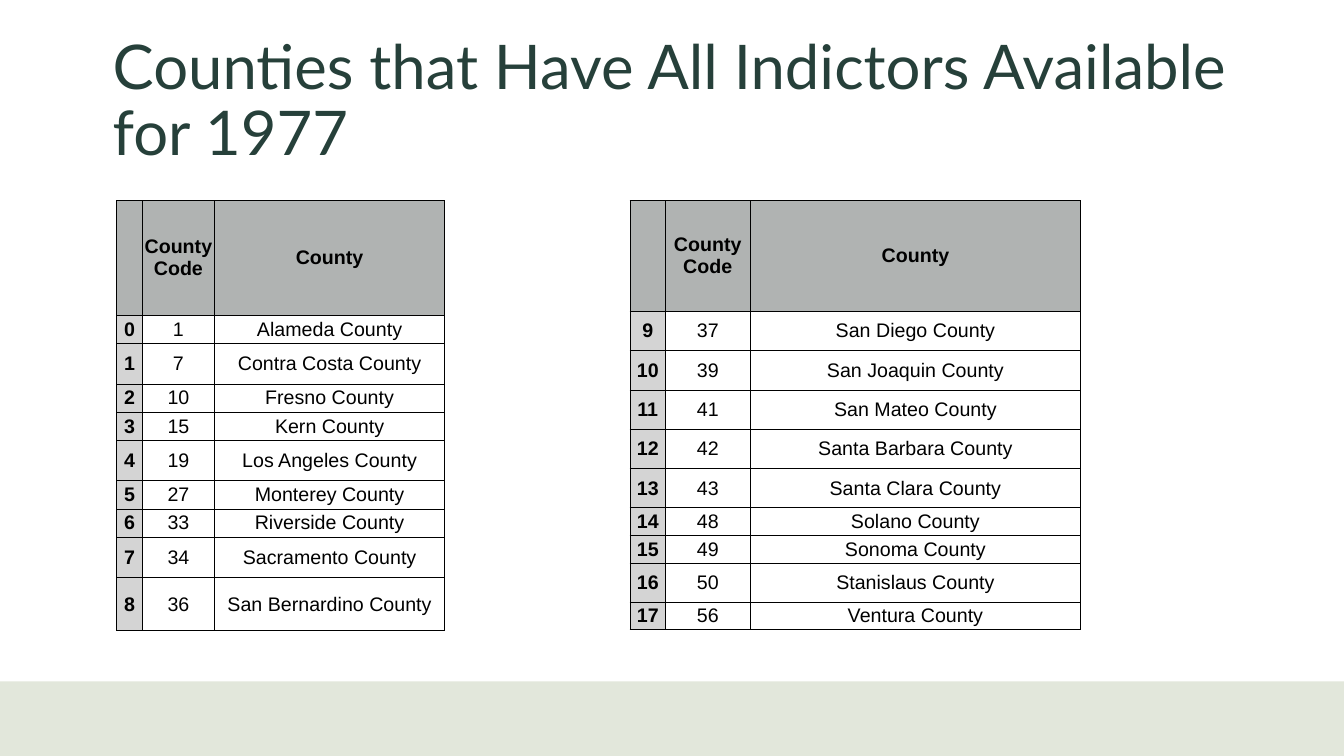
from lxml.etree import SubElement
from pptx import Presentation
from pptx.dml.color import RGBColor as RGB
from pptx.enum.shapes import MSO_SHAPE as SHAPE
from pptx.enum.text import MSO_ANCHOR as ANCHOR, PP_ALIGN as ALIGN
from pptx.oxml.ns import qn
from pptx.util import Inches, Pt

COLORS = {"title": "26403A", "band": "E2E7DB", "header": "B0B3B2",
          "index": "D4D4D4", "body": "FFFFFF", "ink": "000000"}
HEADERS = ["", "County Code", "County"]
WEST = [(1, "Alameda"), (7, "Contra Costa"), (10, "Fresno"), (15, "Kern"),
        (19, "Los Angeles"), (27, "Monterey"), (33, "Riverside"),
        (34, "Sacramento"), (36, "San Bernardino")]
EAST = [(37, "San Diego"), (39, "San Joaquin"), (41, "San Mateo"),
        (42, "Santa Barbara"), (43, "Santa Clara"), (48, "Solano"),
        (49, "Sonoma"), (50, "Stanislaus"), (56, "Ventura")]


def write(tf, text, font="Arial", size=14, color="ink", bold=False,
          align=ALIGN.CENTER, spacing=None):
    tf.word_wrap = True
    p = tf.paragraphs[0]
    p.alignment = align
    if spacing:
        p.line_spacing = spacing
    r = p.add_run()
    r.text = text
    r.font.name, r.font.size, r.font.bold = font, Pt(size), bold
    r.font.color.rgb = RGB.from_string(COLORS[color])


class CountySlide:
    border_width = Pt(0.75)
    inset = Inches(0.02)

    def __init__(self, prs):
        self.s = prs.slides.add_slide(prs.slide_layouts[6])

    def fill(self, item, color):
        item.fill.solid()
        item.fill.fore_color.rgb = RGB.from_string(COLORS[color])

    def band(self, *box):
        sp = self.s.shapes.add_shape(SHAPE.RECTANGLE, *map(Inches, box))
        sp.shadow.inherit = False
        sp.line.fill.background()
        self.fill(sp, "band")

    def title(self, text, *box):
        tf = self.s.shapes.add_textbox(*map(Inches, box)).text_frame
        tf.vertical_anchor = ANCHOR.MIDDLE
        write(tf, text, font="Lato", size=44, color="title",
              align=ALIGN.LEFT, spacing=0.9)

    def borders(self, cell):
        tcPr = cell._tc.get_or_add_tcPr()
        for i, side in enumerate("LRTB"):
            ln = SubElement(tcPr, qn(f"a:ln{side}"), w=str(self.border_width))
            solid = SubElement(ln, qn("a:solidFill"))
            SubElement(solid, qn("a:srgbClr"), val=COLORS["ink"])
            tcPr.insert(i, ln)

    def cell(self, cell, text, color, bold):
        cell.margin_left = cell.margin_right = self.inset
        cell.margin_top = cell.margin_bottom = self.inset
        cell.vertical_anchor = ANCHOR.MIDDLE
        self.fill(cell, color)
        self.borders(cell)
        write(cell.text_frame, text, bold=bold)

    def table(self, left, top, widths, heights, counties, start):
        rows = [HEADERS] + [[str(i), str(code), f"{name} County"]
                            for i, (code, name) in enumerate(counties, start)]
        frame = self.s.shapes.add_table(
            len(rows), len(widths), Inches(left), Inches(top),
            Inches(sum(widths)), Inches(sum(heights)))
        table = frame.table
        table.first_row = table.horz_banding = False
        for column, width in zip(table.columns, widths):
            column.width = Inches(width)
        for row, height in zip(table.rows, heights):
            row.height = Inches(height)
        for y, row in enumerate(rows):
            for x, text in enumerate(row):
                color = "header" if y == 0 else "index" if x == 0 else "body"
                self.cell(table.cell(y, x), text, color, color != "body")


def main():
    prs = Presentation()
    prs.slide_width, prs.slide_height = Inches(13.33), Inches(7.5)
    slide = CountySlide(prs)
    slide.band(0, 6.76, 13.33, 0.74)
    slide.title("Counties that Have All Indictors Available for 1977",
                1.02, 0.29, 11.5, 1.45)
    slide.table(1.16, 1.99, [0.25, 0.72, 2.28],
                [1.14] + [0.28, 0.4, 0.28] * 2 + [0.28, 0.4, 0.53], WEST, 0)
    slide.table(6.25, 1.99, [0.35, 0.84, 3.28],
                [1.1] + [0.39] * 5 + [0.27, 0.27, 0.39, 0.27], EAST, len(WEST))
    prs.save("out.pptx")


if __name__ == "__main__":
    main()
